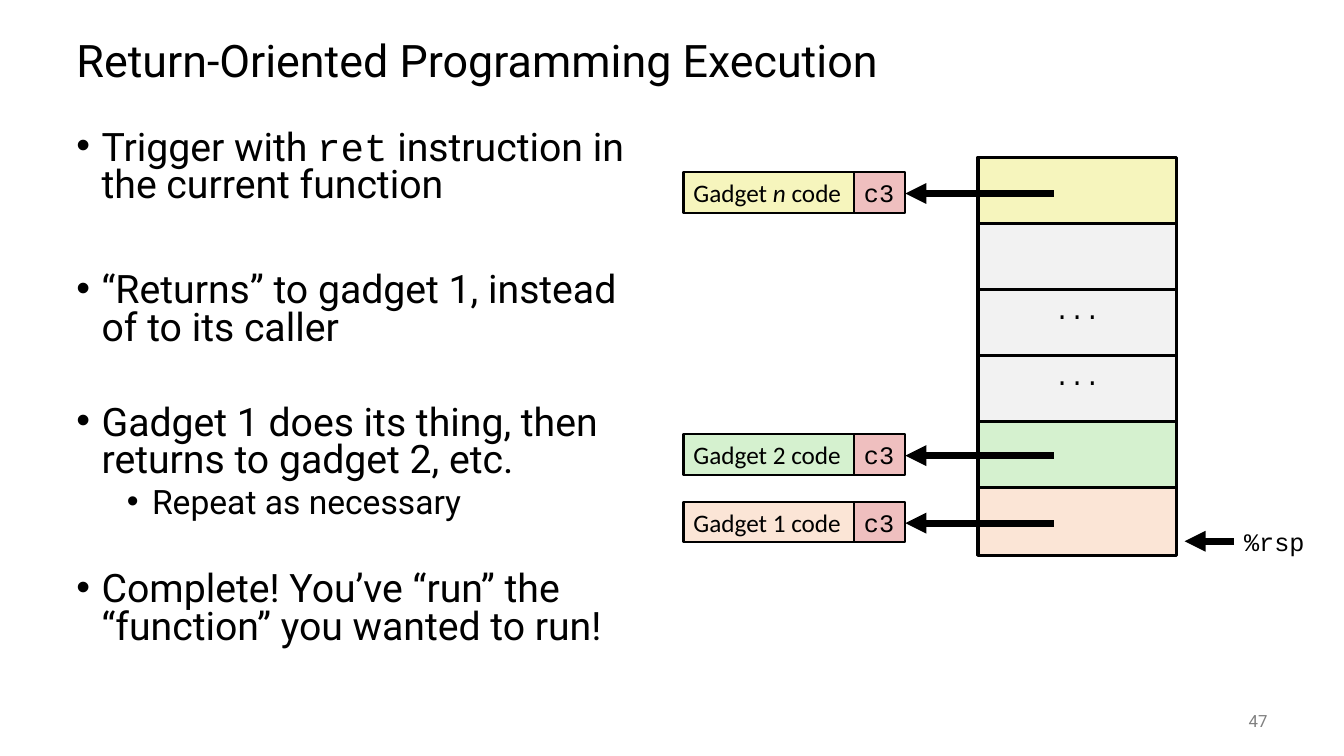
from pptx import Presentation
from pptx.dml.color import RGBColor
from pptx.enum.shapes import MSO_CONNECTOR, MSO_SHAPE
from pptx.enum.text import MSO_ANCHOR, PP_ALIGN
from pptx.oxml.ns import qn
from pptx.util import Inches, Pt
from lxml.etree import SubElement

TITLE = "Return-Oriented Programming Execution"
PAGE = "47"
# level, space before in points, runs of (text, style)
BULLETS = [
    (0, 0, [("Trigger with ", ""), ("ret", "code"),
            (" instruction in the current function", "")]),
    (0, 48, [("“Returns” to gadget 1, instead of to its caller", "")]),
    (0, 41, [("Gadget 1 does its thing, then returns to gadget 2, etc.", "")]),
    (1, 5, [("Repeat as necessary", "")]),
    (0, 37, [("Complete! You’ve “run” the “function” you wanted to run!", "")]),
]
# colour, text; top of the stack first
STACK = [("yellow", ""), ("gray", ""), ("gray", "..."), ("gray", "..."),
         ("green", ""), ("peach", "")]
# colour, top, runs
GADGETS = [
    ("yellow", 1.71, [("Gadget ", ""), ("n ", "italic"), ("code", "")]),
    ("green", 4.31, [("Gadget 2 code", "")]),
    ("peach", 4.98, [("Gadget 1 code", "")]),
]
THEME = {
    "black": "000000", "dim": "808080", "gray": "F2F2F2", "yellow": "F6F5BD",
    "green": "D5F1CF", "peach": "FBE5D6", "pink": "EFBFBF",
    "main": "Roboto", "code": "Courier New", "label": "Calibri",
    "title": 32, "body": (28, 24), "small": 18, "page": 12,
}


def color(name):
    return RGBColor.from_string(THEME[name])


def write(para, runs, font, size, tint="black"):
    for text, style in runs:
        run = para.add_run()
        run.text = text
        if style == "code":
            run.font.name = THEME["code"]
        elif style == "italic":
            run.font.italic = True
    para.font.name = THEME[font]
    para.font.size = Pt(size)
    para.font.color.rgb = color(tint)


def add_text(slide, place, anchor=MSO_ANCHOR.TOP, wrap=True):
    frame = slide.shapes.add_textbox(*map(Inches, place)).text_frame
    frame.word_wrap = wrap
    frame.vertical_anchor = anchor
    return frame


def add_box(slide, place, fill, line, runs=(), font="code",
            align=PP_ALIGN.LEFT, wrap=False):
    box = slide.shapes.add_shape(MSO_SHAPE.RECTANGLE, *map(Inches, place))
    box.shadow.inherit = False
    box.fill.solid()
    box.fill.fore_color.rgb = color(fill)
    box.line.color.rgb = color("black")
    box.line.width = Pt(line)
    if runs:
        frame = box.text_frame
        frame.word_wrap = wrap
        frame.vertical_anchor = MSO_ANCHOR.TOP
        para = frame.paragraphs[0]
        para.alignment = align
        write(para, runs, font, THEME["small"])


def add_arrow(slide, start, end, y):
    line = slide.shapes.add_connector(
        MSO_CONNECTOR.STRAIGHT, *map(Inches, (start, y, end, y)))
    line.line.color.rgb = color("black")
    line.line.width = Pt(5)
    SubElement(line.line._get_or_add_ln(), qn("a:tailEnd"), type="triangle")
    SubElement(line._element.spPr, qn("a:effectLst"))


def add_bullets(slide):
    frame = add_text(slide, (0.66, 1.25, 5.89, 5.5))
    for i, (level, before, runs) in enumerate(BULLETS):
        para = frame.add_paragraph() if i else frame.paragraphs[0]
        para.level = level
        para.line_spacing = 0.8
        para.space_before = Pt(before)
        props = para._p.get_or_add_pPr()
        props.set("marL", str(Inches(0.25 + 0.5 * level)))
        props.set("indent", str(Inches(-0.25)))
        SubElement(props, qn("a:buFont"), typeface="Arial")
        SubElement(props, qn("a:buChar"), char="•")
        write(para, runs, "main", THEME["body"][level])


def add_stack(slide):
    top, last = 1.56, 4.84
    pitch = (last - top) / (len(STACK) - 1)
    for i, (fill, text) in enumerate(STACK):
        add_box(slide, (9.7, top + i * pitch, 1.97, 0.67), fill, 2.25,
                [(text, "")] if text else (), align=PP_ALIGN.CENTER)


def add_gadgets(slide):
    for fill, top, runs in GADGETS:
        add_box(slide, (6.78, top, 1.7, 0.4), fill, 1.5, runs, "label")
        add_box(slide, (8.47, top, 0.51, 0.4), "pink", 1.5, [("c3", "")],
                wrap=True)
        add_arrow(slide, 10.45, 8.98, top + 0.21)


def main():
    deck = Presentation()
    deck.slide_width, deck.slide_height = Inches(13.33), Inches(7.5)
    slide = deck.slides.add_slide(deck.slide_layouts[6])

    title = add_text(slide, (0.66, 0.25, 12, 0.75), MSO_ANCHOR.MIDDLE)
    title.paragraphs[0].line_spacing = 0.9
    write(title.paragraphs[0], [(TITLE, "")], "main", THEME["title"])

    add_bullets(slide)
    add_stack(slide)
    add_gadgets(slide)

    add_arrow(slide, 12.24, 11.75, 5.37)
    pointer = add_text(slide, (12.24, 5.17, 0.81, 0.4), wrap=False)
    write(pointer.paragraphs[0], [("%rsp", "")], "code", THEME["small"])

    page = add_text(slide, (11.67, 6.95, 1, 0.4), MSO_ANCHOR.MIDDLE)
    page.paragraphs[0].alignment = PP_ALIGN.RIGHT
    write(page.paragraphs[0], [(PAGE, "")], "main", THEME["page"], "dim")
    deck.save("out.pptx")


if __name__ == "__main__":
    main()
